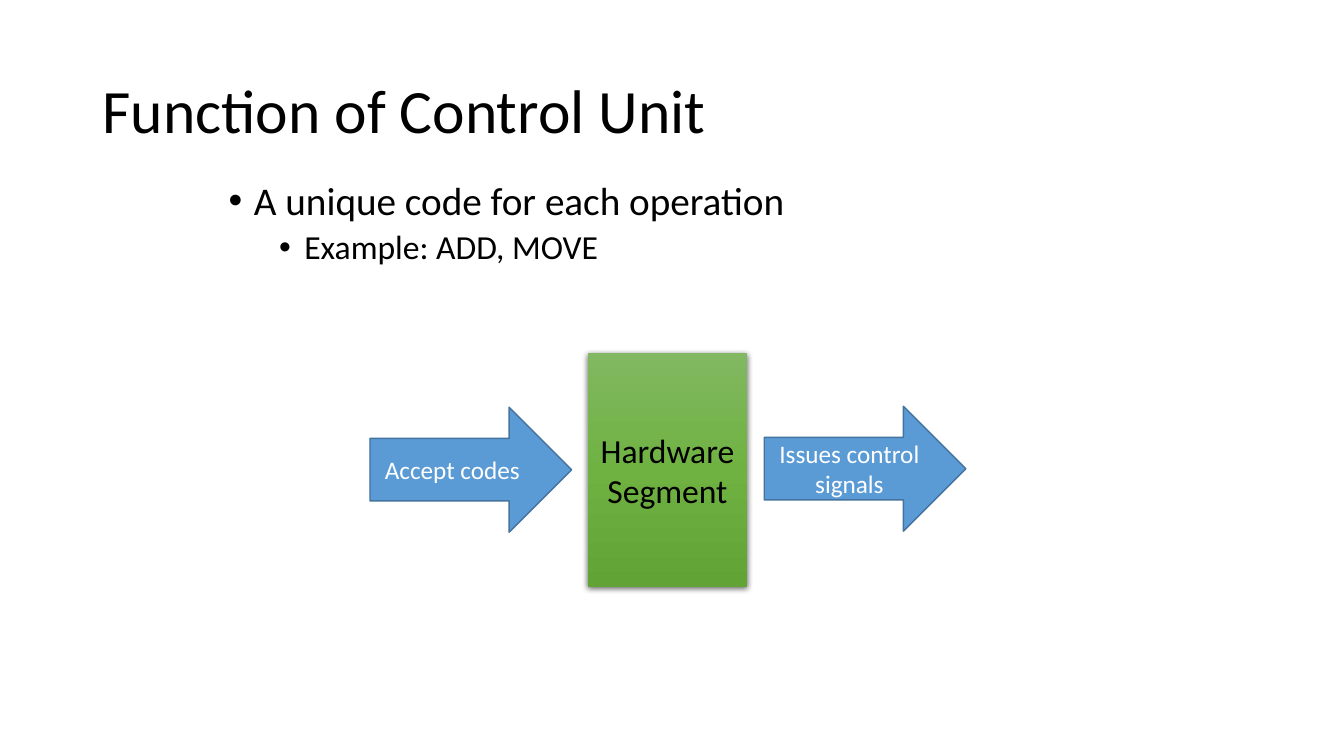
from copy import deepcopy
from dataclasses import dataclass

from lxml.etree import SubElement
from pptx import Presentation
from pptx.dml.color import RGBColor
from pptx.enum.shapes import MSO_SHAPE
from pptx.enum.text import MSO_ANCHOR, PP_ALIGN
from pptx.oxml.ns import qn
from pptx.shapes.autoshape import Shape
from pptx.slide import Slide
from pptx.util import Inches, Pt

FONT = "Calibri"
BLACK = RGBColor(0x00, 0x00, 0x00)
WHITE = RGBColor(0xFF, 0xFF, 0xFF)
ARROW_BLUE = RGBColor(0x5B, 0x9B, 0xD5)
ARROW_EDGE = RGBColor(0x43, 0x73, 0x9E)
GREENS = (
    RGBColor(0x81, 0xB8, 0x61),
    RGBColor(0x6F, 0xB2, 0x42),
    RGBColor(0x62, 0xA3, 0x36),
)


@dataclass(frozen=True)
class Frame:
    left: float
    top: float
    width: float
    height: float

    def lengths(self) -> tuple:
        return tuple(Inches(n) for n in (self.left, self.top, self.width, self.height))


@dataclass(frozen=True)
class Line:
    text: str
    size: int
    color: RGBColor = BLACK
    bullet_left: float | None = None
    space_before: int = 0


@dataclass(frozen=True)
class Block:
    label: Line
    frame: Frame
    kind: MSO_SHAPE


TITLE = Line("Function of Control Unit", 44)
TITLE_FRAME = Frame(0.92, 0.4, 11.5, 1.45)
BULLETS = (
    Line("A unique code for each operation", 28, bullet_left=0.25, space_before=10),
    Line("Example: ADD, MOVE", 24, bullet_left=0.75, space_before=5),
)
BULLETS_FRAME = Frame(2.17, 1.75, 9, 1.33)
HARDWARE = Block(
    Line("Hardware Segment", 24), Frame(5.83, 3.5, 1.58, 2.32), MSO_SHAPE.RECTANGLE
)
ARROWS = (
    Block(Line("Issues control signals", 18, WHITE),
          Frame(7.58, 4.03, 2, 1.24), MSO_SHAPE.RIGHT_ARROW),
    Block(Line("Accept codes ", 18, WHITE),
          Frame(3.67, 4.04, 2, 1.24), MSO_SHAPE.RIGHT_ARROW),
)


def write_lines(box: Shape, lines: tuple[Line, ...], anchor: MSO_ANCHOR,
                align: PP_ALIGN, spacing: float) -> None:
    frame = box.text_frame
    frame.word_wrap = True
    frame.vertical_anchor = anchor
    frame.text = "\n".join(line.text for line in lines)
    for para, line in zip(frame.paragraphs, lines):
        para.alignment = align
        para.line_spacing = spacing
        para.space_before = Pt(line.space_before)
        font = para.runs[0].font
        font.name, font.size = FONT, Pt(line.size)
        font.color.rgb = line.color
        if line.bullet_left is not None:
            add_bullet(para, line.bullet_left)


def add_bullet(para, left: float) -> None:
    properties = para._p.get_or_add_pPr()
    properties.set("marL", str(Inches(left)))
    properties.set("indent", str(-Inches(0.25)))
    SubElement(properties, qn("a:buFont"), typeface="Arial")
    SubElement(properties, qn("a:buChar"), char="•")


def add_text(page: Slide, frame: Frame, lines: tuple[Line, ...],
             anchor: MSO_ANCHOR) -> None:
    box = page.shapes.add_textbox(*frame.lengths())
    write_lines(box, lines, anchor, PP_ALIGN.LEFT, 0.9)


def add_block(page: Slide, block: Block) -> Shape:
    box = page.shapes.add_shape(block.kind, *block.frame.lengths())
    box.shadow.inherit = False
    write_lines(box, (block.label,), MSO_ANCHOR.MIDDLE, PP_ALIGN.CENTER, 1.0)
    return box


def add_arrow(page: Slide, block: Block) -> None:
    arrow = add_block(page, block)
    arrow.fill.solid()
    arrow.fill.fore_color.rgb = ARROW_BLUE
    arrow.line.color.rgb = ARROW_EDGE
    arrow.line.width = Pt(1)


def add_hardware(page: Slide) -> None:
    box = add_block(page, HARDWARE)
    box.line.fill.background()
    box.fill.gradient()
    box.fill.gradient_angle = 270
    stop_list = box._element.spPr.find(".//" + qn("a:gsLst"))
    stop_list.insert(1, deepcopy(stop_list[0]))
    for index, (stop, green) in enumerate(zip(box.fill.gradient_stops, GREENS)):
        stop.position = index / 2
        stop.color.rgb = green
    add_shadow(box)


def add_shadow(box: Shape) -> None:
    effects = box._element.spPr.find(qn("a:effectLst"))
    shadow = SubElement(effects, qn("a:outerShdw"), blurRad=str(Pt(4.5)),
                        dist=str(Pt(1.5)), dir="5400000", algn="ctr", rotWithShape="0")
    color = SubElement(shadow, qn("a:srgbClr"), val=str(BLACK))
    SubElement(color, qn("a:alpha"), val="63000")


def main() -> None:
    deck = Presentation()
    deck.slide_width, deck.slide_height = Inches(13.33), Inches(7.5)
    page = deck.slides.add_slide(deck.slide_layouts[6])
    add_text(page, TITLE_FRAME, (TITLE,), MSO_ANCHOR.MIDDLE)
    add_text(page, BULLETS_FRAME, BULLETS, MSO_ANCHOR.TOP)
    add_hardware(page)
    for arrow in ARROWS:
        add_arrow(page, arrow)
    deck.save("out.pptx")


if __name__ == "__main__":
    main()
